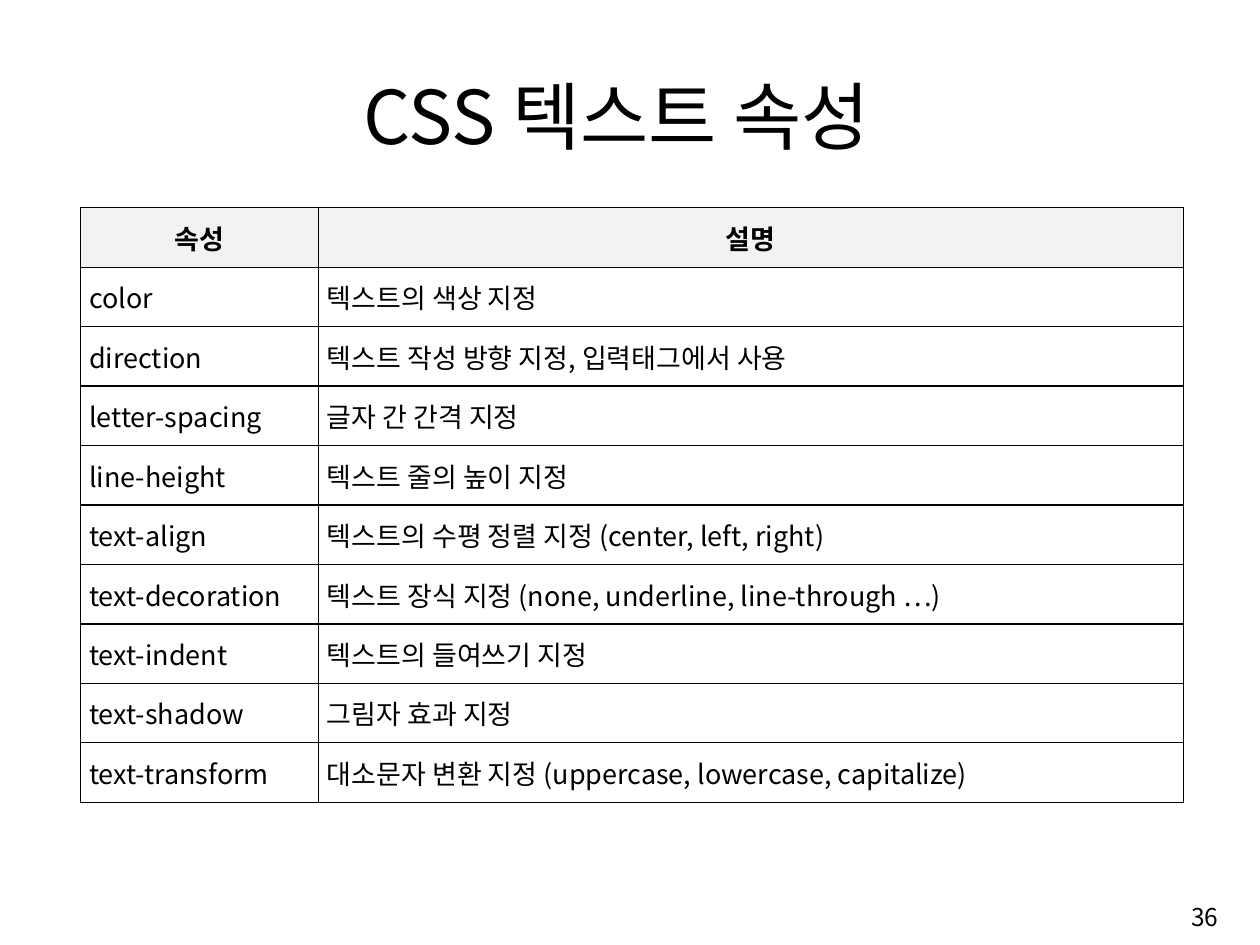
from dataclasses import dataclass

from lxml import etree
from pptx import Presentation
from pptx.dml.color import RGBColor
from pptx.enum.text import MSO_ANCHOR, MSO_AUTO_SIZE, PP_ALIGN
from pptx.oxml.ns import qn
from pptx.slide import Slide
from pptx.table import _Cell
from pptx.text.text import TextFrame
from pptx.util import Inches, Pt

CENTER, RIGHT, JUSTIFY = PP_ALIGN.CENTER, PP_ALIGN.RIGHT, PP_ALIGN.JUSTIFY
MIDDLE, BOTTOM = MSO_ANCHOR.MIDDLE, MSO_ANCHOR.BOTTOM
NO_AUTO_SIZE = MSO_AUTO_SIZE.NONE

SLIDE_WIDTH, SLIDE_HEIGHT = Inches(12.99), Inches(9.74)
TITLE_ONLY_LAYOUT = 5
FONT = "Noto Sans CJK KR"
COLORS = {"text": "000000", "border": "000000", "header": "F2F2F2"}
COLUMN_WIDTHS = (Inches(2.45), Inches(8.92))
ROW_HEIGHT = Inches(6.13 / 10)
BORDER_WIDTH = Pt(1)


@dataclass(frozen=True)
class TextStyle:
    size: float
    alignment: PP_ALIGN
    bold: bool = False


@dataclass(frozen=True)
class Property:
    name: str
    description: str


TITLE_STYLE = TextStyle(55, CENTER)
HEADER_STYLE = TextStyle(20, CENTER, bold=True)
BODY_STYLE = TextStyle(20, JUSTIFY)
NUMBER_STYLE = TextStyle(18.2, RIGHT)

HEADER = Property("속성", "설명")
PROPERTIES = (
    Property("color", "텍스트의 색상 지정"),
    Property("direction", "텍스트 작성 방향 지정, 입력태그에서 사용"),
    Property("letter-spacing", "글자 간 간격 지정"),
    Property("line-height", "텍스트 줄의 높이 지정"),
    Property("text-align", "텍스트의 수평 정렬 지정 (center, left, right)"),
    Property("text-decoration", "텍스트 장식 지정 (none, underline, line-through …)"),
    Property("text-indent", "텍스트의 들여쓰기 지정"),
    Property("text-shadow", "그림자 효과 지정"),
    Property("text-transform", "대소문자 변환 지정 (uppercase, lowercase, capitalize)"),
)


def write_text(text_frame: TextFrame, text: str, style: TextStyle) -> None:
    text_frame.text = text
    paragraph = text_frame.paragraphs[0]
    paragraph.alignment = style.alignment
    for run in paragraph.runs:
        run.font.name = FONT
        run.font.size = Pt(style.size)
        run.font.bold = style.bold
        run.font.color.rgb = RGBColor.from_string(COLORS["text"])
        east_asian = etree.SubElement(run._r.get_or_add_rPr(), qn("a:ea"))
        east_asian.set("typeface", FONT)


def add_borders(cell: _Cell) -> None:
    properties = cell._tc.get_or_add_tcPr()
    for side in ("a:lnL", "a:lnR", "a:lnT", "a:lnB"):
        line = etree.SubElement(properties, qn(side), w=str(BORDER_WIDTH))
        fill = etree.SubElement(line, qn("a:solidFill"))
        etree.SubElement(fill, qn("a:srgbClr"), val=COLORS["border"])


def format_cell(cell: _Cell, text: str, is_header: bool) -> None:
    write_text(cell.text_frame, text, HEADER_STYLE if is_header else BODY_STYLE)
    cell.vertical_anchor = MIDDLE
    cell.margin_left = cell.margin_right = Inches(0.09)
    cell.margin_top = cell.margin_bottom = Inches(0.03)
    add_borders(cell)
    if is_header:
        cell.fill.solid()
        cell.fill.fore_color.rgb = RGBColor.from_string(COLORS["header"])
    else:
        cell.fill.background()


def add_title(slide: Slide) -> None:
    title = slide.shapes.title
    title.left, title.top = Inches(1.05), Inches(0.61)
    title.width, title.height = Inches(10.61), Inches(1.08)
    write_text(title.text_frame, "CSS 텍스트 속성", TITLE_STYLE)
    title.text_frame.auto_size = NO_AUTO_SIZE
    title.text_frame.vertical_anchor = BOTTOM


def add_property_table(slide: Slide) -> None:
    rows = (HEADER, *PROPERTIES)
    table = slide.shapes.add_table(
        len(rows), len(COLUMN_WIDTHS), Inches(0.83), Inches(2.14),
        sum(COLUMN_WIDTHS), ROW_HEIGHT * len(rows),
    ).table
    table.horz_banding = False
    for column, width in zip(table.columns, COLUMN_WIDTHS):
        column.width = width
    for row_index, row in enumerate(rows):
        table.rows[row_index].height = ROW_HEIGHT
        for column_index, text in enumerate((row.name, row.description)):
            format_cell(table.cell(row_index, column_index), text, row is HEADER)


def add_page_number(slide: Slide) -> None:
    text_frame = slide.shapes.add_textbox(
        Inches(9.98), Inches(9.15), Inches(2.68), Inches(0.6)
    ).text_frame
    text_frame.word_wrap = True
    text_frame.vertical_anchor = MIDDLE
    write_text(text_frame, "36", NUMBER_STYLE)


def main() -> None:
    presentation = Presentation()
    presentation.slide_width, presentation.slide_height = SLIDE_WIDTH, SLIDE_HEIGHT
    slide = presentation.slides.add_slide(presentation.slide_layouts[TITLE_ONLY_LAYOUT])
    add_title(slide)
    add_property_table(slide)
    add_page_number(slide)
    presentation.save("out.pptx")


if __name__ == "__main__":
    main()
